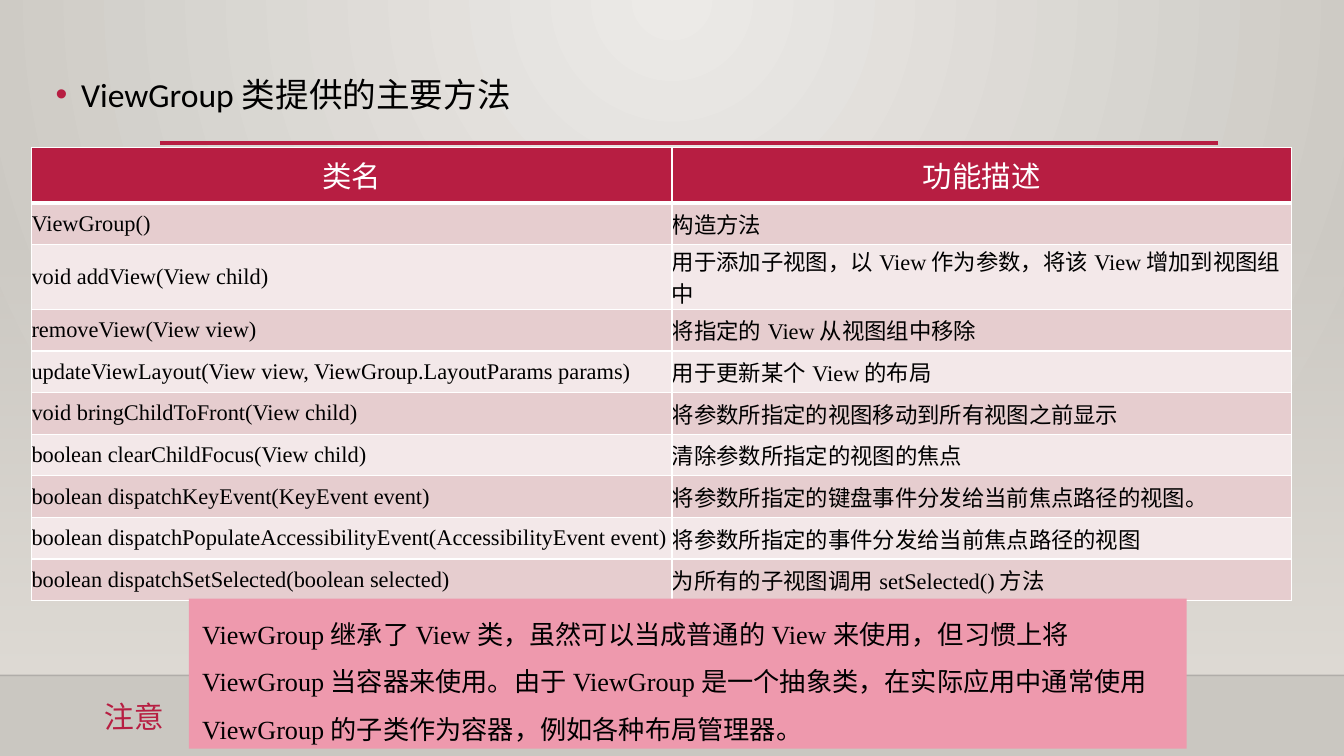
from lxml import etree
from pptx import Presentation
from pptx.dml.color import RGBColor
from pptx.enum.shapes import MSO_CONNECTOR, MSO_SHAPE
from pptx.enum.text import MSO_ANCHOR, MSO_AUTO_SIZE, PP_ALIGN
from pptx.oxml import parse_xml
from pptx.oxml.ns import nsdecls, qn
from pptx.util import Emu, Pt

PX = 6096  # 150 px to the inch
RECTANGLE = MSO_SHAPE.RECTANGLE
STRAIGHT = MSO_CONNECTOR.STRAIGHT
MIDDLE = MSO_ANCHOR.MIDDLE
GROW = MSO_AUTO_SIZE.SHAPE_TO_FIT_TEXT
CENTER, LEFT = PP_ALIGN.CENTER, PP_ALIGN.LEFT

COLORS = {
    "accent": "B71E42", "white": "FFFFFF", "text": "000000",
    "row_dark": "E6CDCF", "row_light": "F3E8E9", "note": "EE99AD",
    "back_light": "ECEAE7", "back_dark": "CAC7C1",
    "haze": "DFDBD5", "edge": "000001",
}
CJK, SANS, SERIF = "Noto Sans CJK SC", "Calibri", "Times New Roman"

HEADINGS = ("类名", "功能描述")
METHODS = (
    ("ViewGroup()", "构造方法"),
    ("void addView(View child)",
     "用于添加子视图，以View作为参数，将该View增加到视图组中"),
    ("removeView(View view)", "将指定的View从视图组中移除"),
    ("updateViewLayout(View view, ViewGroup.LayoutParams params)",
     "用于更新某个View的布局"),
    ("void bringChildToFront(View child)",
     "将参数所指定的视图移动到所有视图之前显示"),
    ("boolean clearChildFocus(View child)", "清除参数所指定的视图的焦点"),
    ("boolean dispatchKeyEvent(KeyEvent event)",
     "将参数所指定的键盘事件分发给当前焦点路径的视图。"),
    ("boolean dispatchPopulateAccessibilityEvent(AccessibilityEvent event)",
     "将参数所指定的事件分发给当前焦点路径的视图"),
    ("boolean dispatchSetSelected(boolean selected)",
     "为所有的子视图调用setSelected()方法"),
)
NOTE = ("ViewGroup继承了View类，虽然可以当成普通的View来使用，但习惯上将"
        "ViewGroup当容器来使用。由于ViewGroup是一个抽象类，在实际应用中通常使用"
        "ViewGroup的子类作为容器，例如各种布局管理器。")


def px(*lengths):
    return [Emu(length * PX) for length in lengths]


def rgb(name):
    return RGBColor.from_string(COLORS[name])


def add_span(para, text, size, font, color):
    span = para.add_run()
    span.text = text
    span.font.size = Pt(size)
    span.font.name = font
    span.font.bold = False
    span.font.color.rgb = rgb(color)
    east_asian = etree.SubElement(span.font._element, qn("a:ea"))
    east_asian.set("typeface", CJK)


def set_gradient(owner, stops, direction):
    """Swap the solid fill inside owner for a gradient."""
    marks = "".join(
        f'<a:gs pos="{place * 1000}"><a:srgbClr val="{COLORS[name]}">'
        f'<a:alpha val="{alpha * 1000}"/></a:srgbClr></a:gs>'
        for place, name, alpha in stops)
    gradient = parse_xml(
        f'<a:gradFill {nsdecls("a")} rotWithShape="1">'
        f'<a:gsLst>{marks}</a:gsLst>{direction}</a:gradFill>')
    solid = next(owner.iter(qn("a:solidFill")))
    solid.getparent().replace(solid, gradient)


def add_box(page, place, color):
    box = page.shapes.add_shape(RECTANGLE, *px(*place))
    box.shadow.inherit = False
    box.fill.solid()
    box.fill.fore_color.rgb = rgb(color)
    box.line.fill.background()
    return box


def add_label(page, place, wrap):
    box = page.shapes.add_textbox(*px(*place))
    box.text_frame.word_wrap = wrap
    box.text_frame.auto_size = GROW
    return box


def add_line(page, left, right, top, color, width, alpha=100):
    line = page.shapes.add_connector(STRAIGHT, *px(left, top, right, top))
    line.line.color.rgb = rgb(color)
    line.line.width = Pt(width)
    etree.SubElement(line._element.spPr, qn("a:effectLst"))
    tint = next(line._element.spPr.iter(qn("a:srgbClr")))
    etree.SubElement(tint, qn("a:alpha")).set("val", str(alpha * 1000))


def set_borders(cell, bottom):
    properties = cell._tc.get_or_add_tcPr()
    widths = {"lnL": 1, "lnR": 1, "lnT": 1, "lnB": bottom}
    for index, (side, width) in enumerate(widths.items()):
        properties.insert(index, parse_xml(
            f'<a:{side} {nsdecls("a")} w="{Pt(width)}"><a:solidFill>'
            f'<a:srgbClr val="{COLORS["white"]}"/></a:solidFill></a:{side}>'))


def fill_cell(cell, text, fill, size, font, color, align, margins, bottom):
    cell.fill.solid()
    cell.fill.fore_color.rgb = rgb(fill)
    cell.vertical_anchor = MIDDLE
    side, end = px(*margins)
    cell.margin_left = cell.margin_right = side
    cell.margin_top = cell.margin_bottom = end
    para = cell.text_frame.paragraphs[0]
    para.alignment = align
    add_span(para, text, size, font, color)
    set_borders(cell, bottom)


def add_methods_table(page):
    rows = (HEADINGS,) + METHODS
    widths = (953, 922)
    heights = [82] + [62] * len(METHODS)
    table = page.shapes.add_table(
        len(rows), len(widths),
        *px(47, 219, sum(widths), sum(heights))).table
    for column, width in zip(table.columns, px(*widths)):
        column.width = width
    for row, height in zip(table.rows, px(*heights)):
        row.height = height
    for number, texts in enumerate(rows):
        if number == 0:
            style = ("accent", 21, SANS, "white", CENTER, (20, 10), 3)
        else:
            fill = "row_dark" if number % 2 else "row_light"
            style = (fill, 16, SERIF, "text", LEFT, (0, 0), 1)
        for column, text in enumerate(texts):
            fill_cell(table.cell(number, column), text, *style)


def add_title(page):
    box = add_label(page, (68, 90, 708, 82), False)
    para = box.text_frame.paragraphs[0]
    para.line_spacing = 1.2
    para.space_before = Pt(10)
    properties = para._p.get_or_add_pPr()
    indent = 38 * PX
    properties.set("marL", str(indent))
    properties.set("indent", str(-indent))
    color = etree.SubElement(properties, qn("a:buClr"))
    etree.SubElement(color, qn("a:srgbClr")).set("val", COLORS["accent"])
    etree.SubElement(properties, qn("a:buFont")).set("typeface", "Arial")
    etree.SubElement(properties, qn("a:buChar")).set("char", "•")
    add_span(para, "ViewGroup类提供的主要方法", 24, SANS, "text")


def add_note(page):
    label = add_label(page, (141, 1032, 139, 69), True)
    label.rotation = 359
    add_span(label.text_frame.paragraphs[0], "注意", 21.3, CJK, "accent")

    box = add_box(page, (281, 891, 1485, 223), "note")
    frame = box.text_frame
    frame.word_wrap = True
    frame.auto_size = GROW
    frame.vertical_anchor = MIDDLE
    frame.margin_left, frame.margin_top = px(20, 10)
    frame.margin_right, frame.margin_bottom = px(20, 10)
    para = frame.paragraphs[0]
    para.alignment = LEFT
    para.line_spacing = 1.5
    para.space_before = Pt(3.7)
    add_span(para, NOTE, 18.7, SERIF, "text")


def add_backdrop(page):
    page.background.fill.solid()
    page.background.fill.fore_color.rgb = rgb("back_light")
    set_gradient(
        page.element, ((0, "back_light", 100), (100, "back_dark", 100)),
        '<a:path path="circle">'
        '<a:fillToRect l="43000" t="0" r="43000" b="100000"/></a:path>')
    haze = add_box(page, (0, 332, 2000, 673), "haze")
    set_gradient(haze._element.spPr, ((0, "haze", 0), (100, "haze", 100)),
                 '<a:lin ang="5400000" scaled="0"/>')
    add_line(page, 0, 2000, 1005, "edge", 1, 20)
    add_line(page, 238, 1813, 213, "accent", 2.5)


def main():
    deck = Presentation()
    deck.slide_width, deck.slide_height = px(2000, 1125)
    page = deck.slides.add_slide(deck.slide_layouts[6])
    add_backdrop(page)
    add_methods_table(page)
    add_note(page)
    add_title(page)
    deck.save("out.pptx")


if __name__ == "__main__":
    main()
